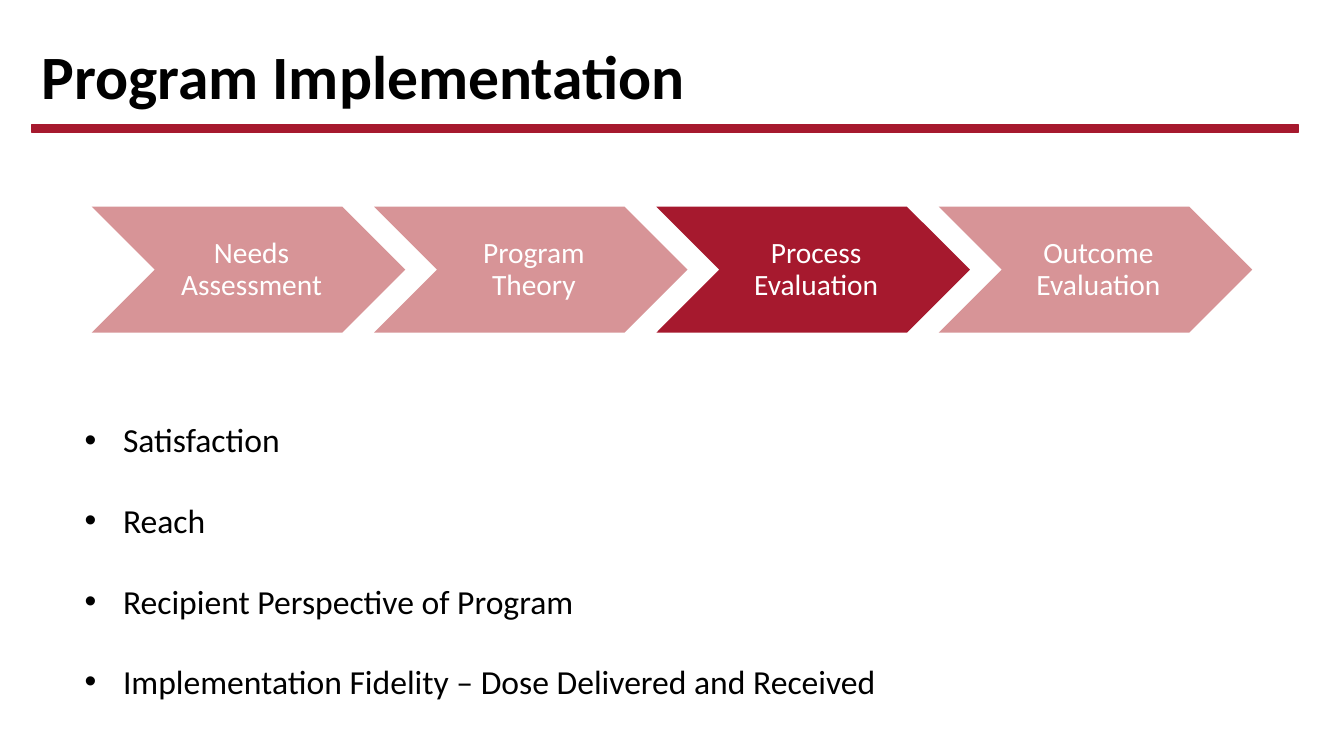
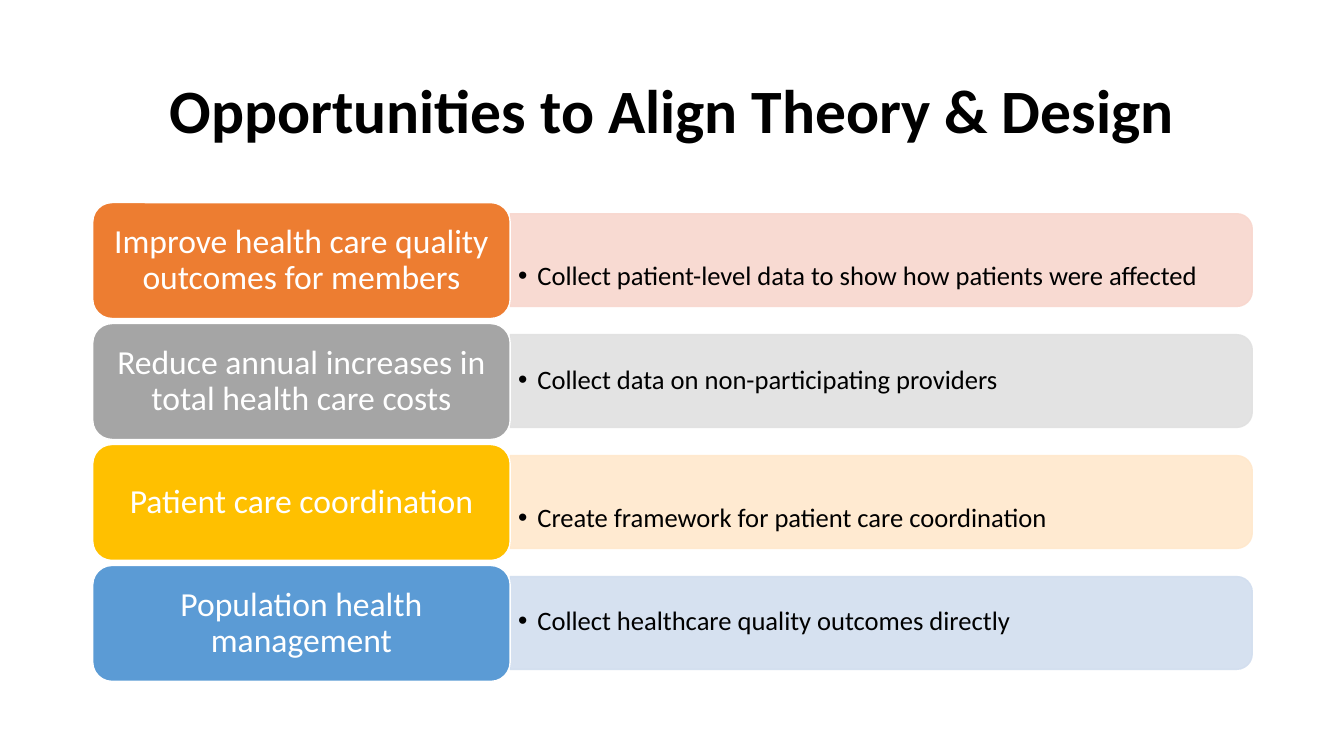
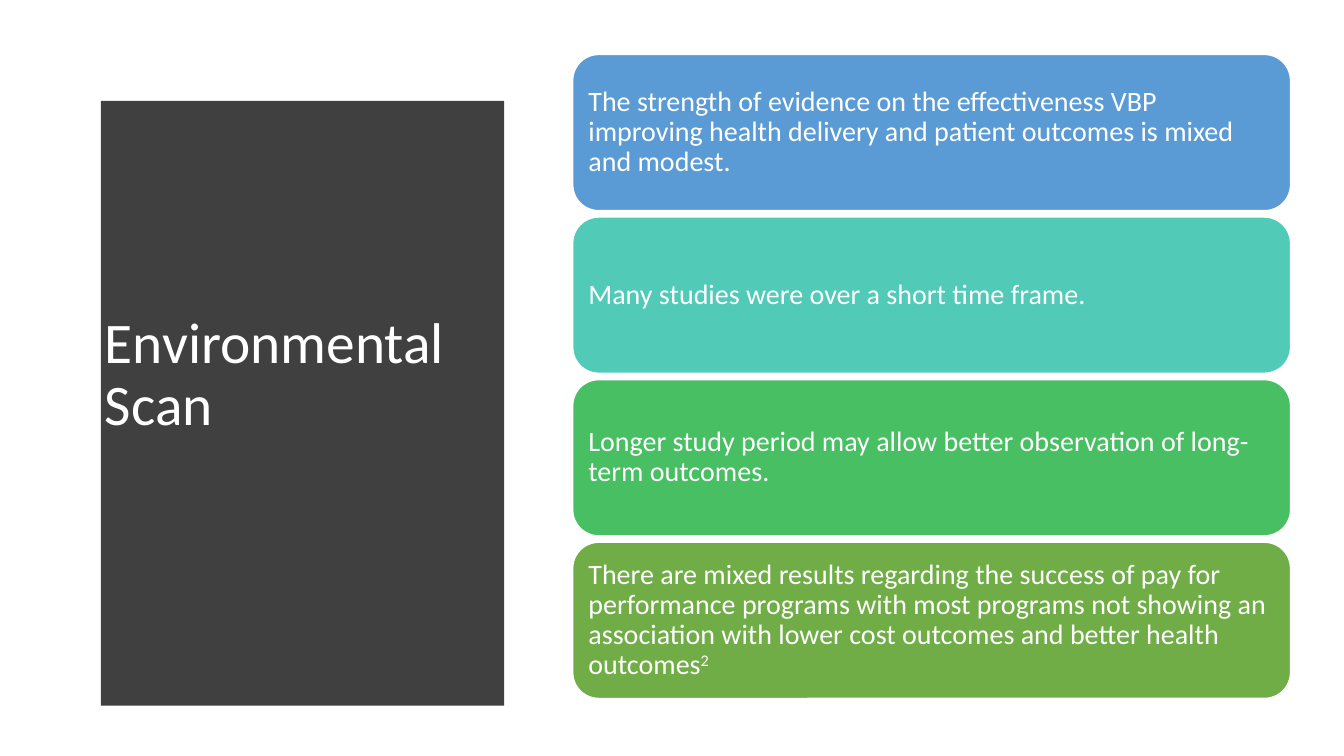
from lxml import etree
from pptx import Presentation
from pptx.dml.color import RGBColor
from pptx.enum.shapes import MSO_SHAPE
from pptx.enum.text import MSO_ANCHOR, MSO_AUTO_SIZE, PP_ALIGN
from pptx.oxml.ns import qn
from pptx.util import Inches, Pt

RECT = MSO_SHAPE.RECTANGLE
CHEVRON = MSO_SHAPE.CHEVRON
ROUNDED = MSO_SHAPE.ROUNDED_RECTANGLE
TWO_ROUNDED = MSO_SHAPE.ROUND_2_SAME_RECTANGLE
MIDDLE, TOP = MSO_ANCHOR.MIDDLE, MSO_ANCHOR.TOP
LEFT, CENTER = PP_ALIGN.LEFT, PP_ALIGN.CENTER
NO_AUTOFIT = MSO_AUTO_SIZE.NONE

# Shared look
FONT = "Calibri"
BLACK, WHITE = "000000", "FFFFFF"
CRIMSON, PALE_CRIMSON = "A6192E", "D79497"
CHARCOAL, BLUE = "404040", "5B9BD5"
TITLE_LAYOUT, LIST_LAYOUT = 5, 1

# Content
STAGES = ["Needs Assessment", "Program Theory", "Process Evaluation", "Outcome Evaluation"]
CURRENT_STAGE = "Process Evaluation"
MEASURES = [
    "Satisfaction",
    "Reach",
    "Recipient Perspective of Program",
    "Implementation Fidelity – Dose Delivered and Received",
]
# goal, action, goal colour, action colour, downward push of the action text
OPPORTUNITIES = [
    ("Improve health care quality outcomes for members",
     "Collect patient-level data to show how patients were affected",
     "ED7D31", "F8D7CE", 0.35),
    ("Reduce annual increases in total health care costs",
     "Collect data on non-participating providers",
     "A5A5A5", "E1E1E1", 0),
    ("Patient care coordination",
     "Create framework for patient care coordination",
     "FFC000", "FFE8CC", 0.35),
    ("Population health management",
     "Collect healthcare quality outcomes directly",
     BLUE, "D2DEEF", 0),
]
# finding, footnote mark, colour
FINDINGS = [
    ("The strength of evidence on the effectiveness VBP improving health delivery "
     "and patient outcomes is mixed and modest.", "", BLUE),
    ("Many studies were over a short time frame.", "", "52CAB8"),
    ("Longer study period may allow better observation of long-term outcomes.", "", "49BF64"),
    ("There are mixed results regarding the success of pay for performance programs "
     "with most programs not showing an association with lower cost outcomes and "
     "better health outcomes", "2", "70AD47"),
]


def rgb(value):
    return RGBColor.from_string(value)


def box(*lengths):
    return [Inches(length) for length in lengths]


def style(paragraph, size, color, align=LEFT, bold=False, spacing=0.9):
    paragraph.alignment = align
    paragraph.line_spacing = spacing
    paragraph.space_before = Pt(0)
    font = paragraph.font
    font.name, font.size, font.bold = FONT, Pt(size), bold
    font.color.rgb = rgb(color)


def set_frame(frame, insets=(0.1, 0.05, 0.1, 0.05), anchor=MIDDLE):
    frame.word_wrap = True
    frame.auto_size = NO_AUTOFIT
    frame.vertical_anchor = anchor
    (frame.margin_left, frame.margin_top,
     frame.margin_right, frame.margin_bottom) = box(*insets)


def add_bullet(paragraph, indent):
    properties = paragraph._p.get_or_add_pPr()
    properties.set("marL", str(Inches(indent)))
    properties.set("indent", str(-Inches(indent)))
    etree.SubElement(properties, qn("a:buFont")).set("typeface", "Arial")
    etree.SubElement(properties, qn("a:buChar")).set("char", "•")


def set_title(slide, text, place, size=44, color=BLACK, align=LEFT, bold=True):
    title = slide.shapes.title
    title.left, title.top, title.width, title.height = box(*place)
    title.text_frame.text = text
    set_frame(title.text_frame)
    style(title.text_frame.paragraphs[0], size, color, align, bold)
    return title


def paint(shape, fill, line=None, opacity=None):
    shape.shadow.inherit = False
    shape.fill.solid()
    shape.fill.fore_color.rgb = rgb(fill)
    if line:
        shape.line.color.rgb = rgb(line)
        shape.line.width = Pt(1)
    else:
        shape.line.fill.background()
    if opacity:
        for color in shape._element.spPr.iter(qn("a:srgbClr")):
            etree.SubElement(color, qn("a:alpha")).set("val", str(opacity * 1000))


def add_block(slide, preset, place, fill, line=None, opacity=None):
    block = slide.shapes.add_shape(preset, *box(*place))
    paint(block, fill, line, opacity)
    return block


def add_label(block, text, size, insets, align=CENTER):
    set_frame(block.text_frame, insets)
    paragraph = block.text_frame.paragraphs[0]
    paragraph.add_run().text = text
    style(paragraph, size, WHITE, align)
    return paragraph


def build_implementation(deck):
    slide = deck.slides.add_slide(deck.slide_layouts[LIST_LAYOUT])
    set_title(slide, "Program Implementation", (0.31, 0.33, 11.5, 0.91))
    add_block(slide, RECT, (0.31, 1.24, 12.57, 0.07), CRIMSON, CRIMSON)

    # Stages of the evaluation
    for index, stage in enumerate(STAGES):
        fill = CRIMSON if stage == CURRENT_STAGE else PALE_CRIMSON
        chevron = add_block(slide, CHEVRON, (0.91 + 2.8 * index, 2.05, 3.11, 1.25), fill)
        add_label(chevron, stage, 21, (0.09, 0.03, 0.03, 0.03))

    # Measures
    measures = slide.placeholders[1]
    measures.left, measures.top, measures.width, measures.height = box(0.74, 4.11, 10.21, 3.3)
    measures.text_frame.text = "\n".join(MEASURES)
    set_frame(measures.text_frame, anchor=TOP)
    for paragraph in measures.text_frame.paragraphs:
        add_bullet(paragraph, 0.38)
        style(paragraph, 24, BLACK, spacing=1.0)
        paragraph.space_after = Pt(28.8)


def add_action(slide, text, top, fill, push):
    thickness, length, left = 0.92, 7.36, 5.06
    # The bar stands upright and is turned about its centre
    bar = add_block(slide, TWO_ROUNDED,
                    (left + (length - thickness) / 2, top + (thickness - length) / 2,
                     thickness, length), fill, fill, 90)
    bar.rotation = 90
    action = slide.shapes.add_textbox(*box(left, top + 0.04, 7.32, 0.83))
    set_frame(action.text_frame, (0.08, 0.04 + push, 0.08, 0.04))
    paragraph = action.text_frame.paragraphs[0]
    paragraph.add_run().text = text
    add_bullet(paragraph, 0.19)
    style(paragraph, 19, BLACK)


def build_opportunities(deck):
    slide = deck.slides.add_slide(deck.slide_layouts[TITLE_LAYOUT])
    set_title(slide, "Opportunities to Align Theory & Design",
              (0.92, 0.4, 11.5, 1.45), align=CENTER)
    for index, (goal, action, color, tint, push) in enumerate(OPPORTUNITIES):
        top = 2.01 + 1.2 * index
        add_action(slide, action, top + 0.11, tint, push)
        goal_block = add_block(slide, ROUNDED, (0.92, top, 4.14, 1.15), color, WHITE)
        add_label(goal_block, goal, 24, (0.1, 0.05, 0.1, 0.05))


def add_curved_panel(slide):
    left, top, bottom, edge, bulge, steps = 0.53, 0.52, 6.96, 5.08, 0.24, 40
    curve = []
    for step in range(steps + 1):
        share = step / steps
        curve.append((edge + bulge * (1 - (2 * share - 1) ** 2),
                      top + (bottom - top) * share))
    outline = slide.shapes.build_freeform(left, top, scale=Inches(1))
    outline.add_line_segments(curve + [(left, bottom)], close=True)
    panel = outline.convert_to_shape()
    paint(panel, CHARCOAL)
    return panel


def build_scan(deck):
    slide = deck.slides.add_slide(deck.slide_layouts[TITLE_LAYOUT])
    title = set_title(slide, "Environmental Scan", (0.94, 1.11, 3.74, 5.24),
                      size=41, color=WHITE, bold=False)
    # The panel lies behind the title
    title._element.addprevious(add_curved_panel(slide)._element)

    # Findings
    for index, (finding, mark, color) in enumerate(FINDINGS):
        card = add_block(slide, ROUNDED, (5.68, 0.54 + 1.613 * index, 7.12, 1.55), color, WHITE)
        paragraph = add_label(card, finding, 20, (0.08,) * 4, LEFT)
        if mark:
            footnote = paragraph.add_run()
            footnote.text = mark
            footnote._r.get_or_add_rPr().set("baseline", "30000")


def main():
    deck = Presentation()
    deck.slide_width, deck.slide_height = box(13.33, 7.5)
    build_implementation(deck)
    build_opportunities(deck)
    build_scan(deck)
    deck.save("out.pptx")


main()
